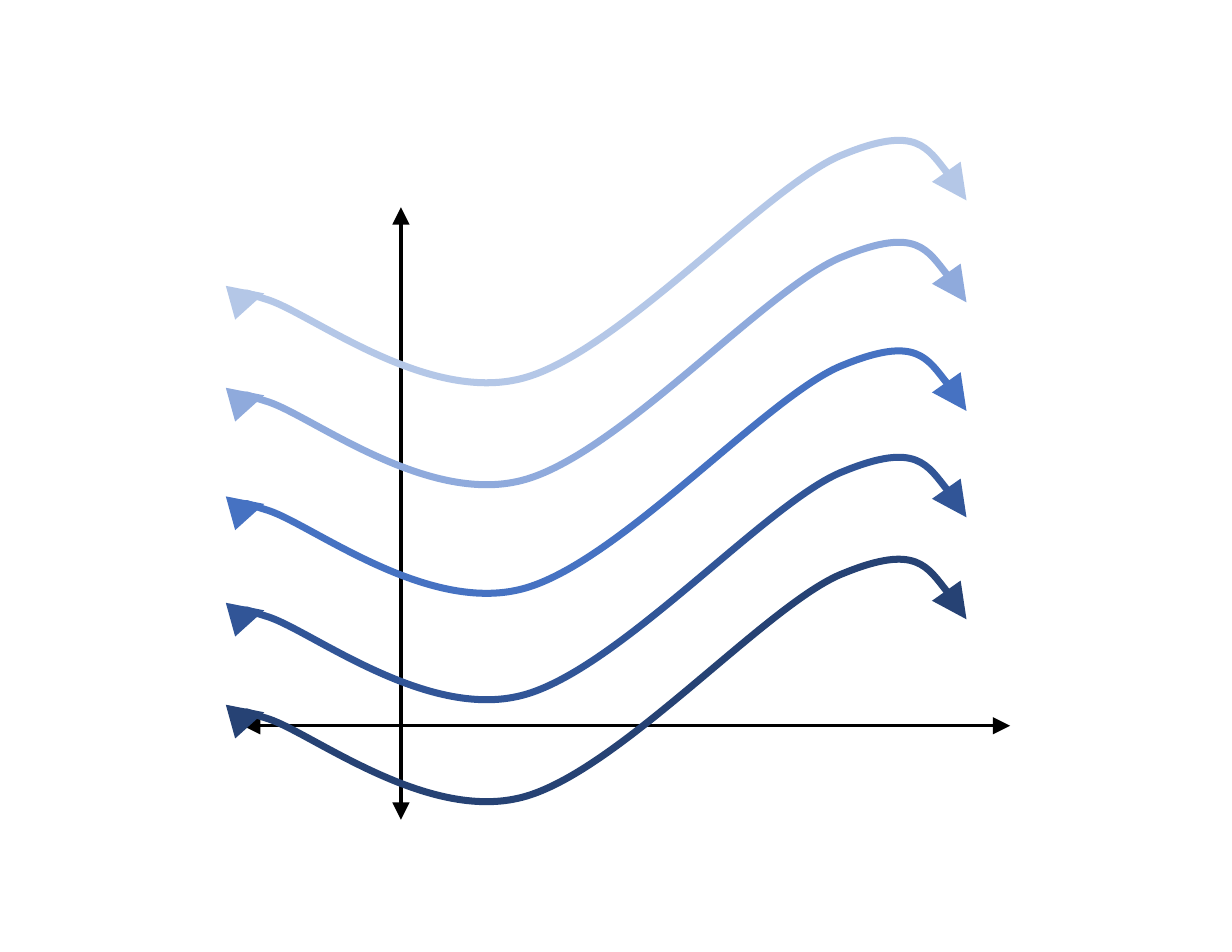
from lxml.etree import SubElement
from pptx import Presentation
from pptx.dml.color import RGBColor
from pptx.enum.shapes import MSO_CONNECTOR
from pptx.oxml.ns import qn
from pptx.util import Inches, Pt

BLACK = RGBColor(0x00, 0x00, 0x00)
PALE = RGBColor(0xB4, 0xC7, 0xE7)
LIGHT = RGBColor(0x8F, 0xAA, 0xDC)
MEDIUM = RGBColor(0x46, 0x72, 0xC2)
DARK = RGBColor(0x31, 0x55, 0x97)
NAVY = RGBColor(0x26, 0x42, 0x74)


def style_arrow(shape, color, width):
    """Colour a line and put a large triangle at both ends."""
    shape.line.color.rgb = color
    shape.line.width = Pt(width)
    outline = shape.line._get_or_add_ln()
    for end in ("a:headEnd", "a:tailEnd"):
        SubElement(outline, qn(end), type="triangle", w="lg", len="lg")


def add_points(parent, tag, points):
    """Append one drawing step, with its points in inches."""
    step = SubElement(parent, qn(tag))
    for x, y in points:
        SubElement(step, qn("a:pt"), x=str(Inches(x)), y=str(Inches(y)))


deck = Presentation()
deck.slide_width, deck.slide_height = Inches(11), Inches(8.5)
page = deck.slides.add_slide(deck.slide_layouts[6])

# Horizontal and vertical axes
for ends in ((2.17, 6.48, 9.02, 6.48), (3.58, 1.85, 3.58, 7.32)):
    axis = page.shapes.add_connector(MSO_CONNECTOR.STRAIGHT, *map(Inches, ends))
    style_arrow(axis, BLACK, 2.25)
    SubElement(axis._element.spPr, qn("a:effectLst"))

# One wave, measured from the top left of its box
WAVE_LEFT, WAVE_WIDTH, WAVE_HEIGHT = 2.17, 6.46, 2.13
WAVE_START = (0.19, 1.34)
WAVE_BENDS = (
    ((0.02, 1.31), (-0.15, 1.28), (0.23, 1.40)),
    ((0.62, 1.53), (1.64, 2.32), (2.49, 2.10)),
    ((3.35, 1.88), (4.69, 0.36), (5.36, 0.10)),
    ((6.02, -0.17), (6.24, 0.17), (6.46, 0.51)),
)

# Five shifted waves, from back to front
for top, color in ((4.11, DARK), (3.16, MEDIUM), (2.19, LIGHT),
                   (5.02, NAVY), (1.28, PALE)):
    builder = page.shapes.build_freeform(0, 0)
    builder.add_line_segments([(Inches(WAVE_WIDTH), Inches(WAVE_HEIGHT))], close=False)
    wave = builder.convert_to_shape(Inches(WAVE_LEFT), Inches(top))
    wave.shadow.inherit = False
    wave.fill.background()
    style_arrow(wave, color, 4.5)

    # Replace the straight segment with Bezier bends
    track = wave._element.xpath(".//a:path")[0]
    for step in list(track):
        track.remove(step)
    add_points(track, "a:moveTo", [WAVE_START])
    for bend in WAVE_BENDS:
        add_points(track, "a:cubicBezTo", bend)

deck.save("out.pptx")
